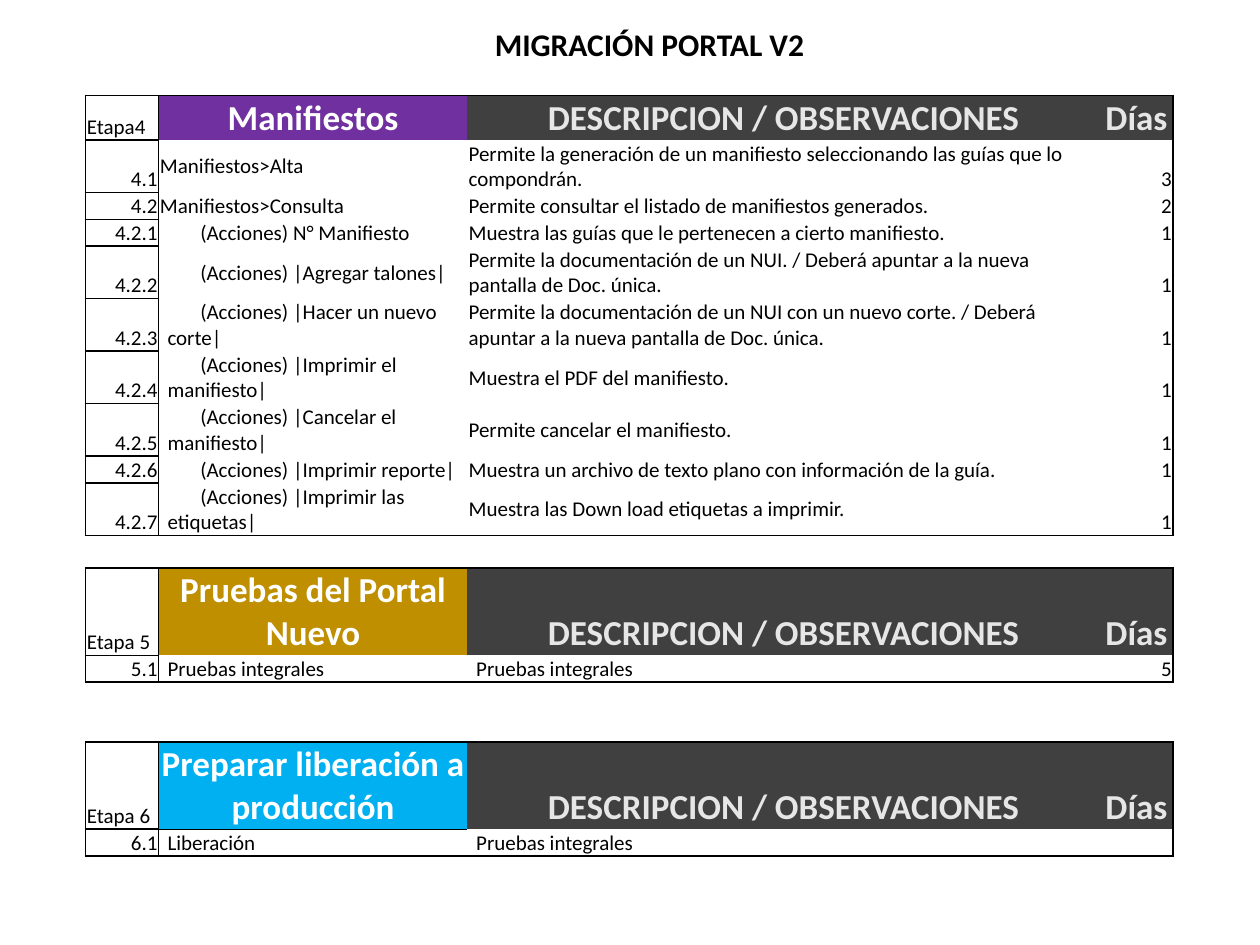
from dataclasses import dataclass

from lxml.etree import SubElement
from pptx import Presentation
from pptx.dml.color import RGBColor
from pptx.enum.text import MSO_ANCHOR, PP_ALIGN
from pptx.oxml.ns import qn
from pptx.util import Inches, Pt


@dataclass(frozen=True)
class Theme:
    font: str = "Calibri"
    title_size: int = 18
    head_size: int = 20
    body_size: int = 12
    ink: str = "000000"
    white: str = "FFFFFF"
    head_fill: str = "404040"
    head_text: str = "E7E6E6"


@dataclass(frozen=True)
class Task:
    number: str
    name: str
    note: str
    days: str
    lines: int = 1
    name_inset: float = 0.07
    note_inset: float = 0.01
    indent: float = 0


@dataclass(frozen=True)
class Stage:
    label: str
    name: str
    color: str
    top: float
    tasks: list[Task]
    head_lines: int = 2
    name_rule: float = 0


THEME = Theme()
LEFT = 0.68
COLS = (0.58, 2.45, 5.02, 0.58)
HEAD_LINE, BODY_LINE = 0.34, 0.2
BORDER = 1


def action(number: str, name: str, note: str, lines: int = 1) -> Task:
    return Task(number, f"(Acciones) {name}", note, "1", lines, indent=0.26)


STAGES = [
    Stage("Etapa4", "Manifiestos", "7030A0", 0.76, [
        Task("4.1", "Manifiestos>Alta",
             "Permite la generación de un manifiesto seleccionando las guías que lo compondrán.",
             "3", 2, name_inset=0.01),
        Task("4.2", "Manifiestos>Consulta",
             "Permite consultar el listado de manifiestos generados.", "2", name_inset=0.01),
        action("4.2.1", "N° Manifiesto",
               "Muestra las guías que le pertenecen a cierto manifiesto."),
        action("4.2.2", "|Agregar talones|",
               "Permite la documentación de un NUI. / Deberá apuntar a la nueva "
               "pantalla de Doc. única.", 2),
        action("4.2.3", "|Hacer un nuevo corte|",
               "Permite la documentación de un NUI con un nuevo corte. / Deberá "
               "apuntar a la nueva pantalla de Doc. única.", 2),
        action("4.2.4", "|Imprimir el manifiesto|", "Muestra el PDF del manifiesto.", 2),
        action("4.2.5", "|Cancelar el manifiesto|", "Permite cancelar el manifiesto.", 2),
        action("4.2.6", "|Imprimir reporte|",
               "Muestra un archivo de texto plano con información de la guía."),
        action("4.2.7", "|Imprimir las etiquetas|",
               "Muestra las Down load etiquetas a imprimir.", 2),
    ], head_lines=1),
    Stage("Etapa 5", "Pruebas del Portal Nuevo", "BF8F00", 4.51, [
        Task("5.1", "Pruebas integrales", "Pruebas integrales", "5", note_inset=0.07),
    ]),
    Stage("Etapa 6", "Preparar liberación a producción", "00B0F0", 5.89, [
        Task("6.1", "Liberación", "Pruebas integrales", "", note_inset=0.07),
    ], name_rule=0.5),
]


def add_run(p, text: str, size: int, color: str, bold: bool = False) -> None:
    r = p.add_run()
    r.text = text
    r.font.name = THEME.font
    r.font.size = Pt(size)
    r.font.bold = bold
    r.font.color.rgb = RGBColor.from_string(color)


def write_cell(cell, text: str, align=PP_ALIGN.LEFT, anchor=MSO_ANCHOR.BOTTOM,
               inset: float = 0.01, indent: float = 0, size: int = THEME.body_size,
               color: str = THEME.ink, bold: bool = False) -> None:
    cell.margin_left = Inches(inset)
    cell.margin_right = cell.margin_top = Inches(0.01)
    cell.margin_bottom = 0
    cell.vertical_anchor = anchor
    p = cell.text_frame.paragraphs[0]
    p.alignment = align
    if indent:
        pPr = p._p.get_or_add_pPr()
        pPr.set("marL", "0")
        pPr.set("indent", str(Inches(indent)))
    if text:
        add_run(p, text, size, color, bold)
    else:
        SubElement(p._p, qn("a:endParaRPr"), sz=str(size * 100))


def set_borders(cell, widths: dict[str, float]) -> None:
    """Draw the sides (L, R, T, B) that have a width and hide the others."""
    tcPr = cell._tc.get_or_add_tcPr()
    for side in "LRTB":
        width = widths.get(side, 0)
        ln = SubElement(tcPr, qn(f"a:ln{side}"), w=str(Pt(width)))
        if width:
            fill = SubElement(ln, qn("a:solidFill"))
            SubElement(fill, qn("a:srgbClr"), val=THEME.ink)
        else:
            SubElement(ln, qn("a:noFill"))


def frame_table(table, name_rule: float) -> None:
    """Box the number cells one by one and the rest of the table as a whole."""
    last_row, last_col = len(table.rows) - 1, len(COLS) - 1
    for i in range(last_row + 1):
        for j in range(last_col + 1):
            sides = {"L": j <= 1, "R": j in (0, last_col),
                     "T": j == 0 or i == 0, "B": j == 0 or i == last_row}
            widths = {side: BORDER for side, shown in sides.items() if shown}
            if j == 1 and name_rule and i < 2:
                widths["B" if i == 0 else "T"] = name_rule
            set_borders(table.cell(i, j), widths)


def fill_cells(table, stage: Stage) -> None:
    head_fills = (None, stage.color, THEME.head_fill, THEME.head_fill)
    for i, row in enumerate(table.rows):
        for cell, color in zip(row.cells, head_fills):
            if i == 0 and color:
                cell.fill.solid()
                cell.fill.fore_color.rgb = RGBColor.from_string(color)
            else:
                cell.fill.background()


def add_stage(slide, stage: Stage) -> None:
    heights = [HEAD_LINE * stage.head_lines] + [BODY_LINE * t.lines for t in stage.tasks]
    table = slide.shapes.add_table(
        len(heights), len(COLS), Inches(LEFT), Inches(stage.top),
        Inches(sum(COLS)), Inches(sum(heights))).table
    table.first_row = table.horz_banding = False
    for col, width in zip(table.columns, COLS):
        col.width = Inches(width)
    for row, height in zip(table.rows, heights):
        row.height = Inches(height)

    frame_table(table, stage.name_rule)
    fill_cells(table, stage)

    label, name, note, days = table.rows[0].cells
    head = dict(align=PP_ALIGN.CENTER, size=THEME.head_size, bold=True)
    write_cell(label, stage.label)
    write_cell(name, stage.name, anchor=MSO_ANCHOR.MIDDLE, color=THEME.white, **head)
    write_cell(note, "DESCRIPCION / OBSERVACIONES", color=THEME.head_text, **head)
    write_cell(days, "Días", color=THEME.head_text, **head)

    for i, task in enumerate(stage.tasks, start=1):
        number, name, note, days = table.rows[i].cells
        write_cell(number, task.number, PP_ALIGN.RIGHT)
        write_cell(name, task.name, anchor=MSO_ANCHOR.MIDDLE,
                   inset=task.name_inset, indent=task.indent)
        write_cell(note, task.note, anchor=MSO_ANCHOR.MIDDLE, inset=task.note_inset)
        write_cell(days, task.days, PP_ALIGN.RIGHT)


def add_title(slide, text: str) -> None:
    sp = slide.shapes.title
    sp.left, sp.top, sp.width, sp.height = map(Inches, (1.71, 0.15, 6.89, 0.4))
    tf = sp.text_frame
    tf.word_wrap = True
    tf.vertical_anchor = MSO_ANCHOR.TOP
    p = tf.paragraphs[0]
    p.alignment = PP_ALIGN.CENTER
    add_run(p, text, THEME.title_size, THEME.ink, bold=True)


def main() -> None:
    prs = Presentation()
    prs.slide_width, prs.slide_height = Inches(10), Inches(7.5)
    slide = prs.slides.add_slide(prs.slide_layouts[5])
    add_title(slide, "MIGRACIÓN PORTAL V2")
    for stage in STAGES:
        add_stage(slide, stage)
    prs.save("out.pptx")


if __name__ == "__main__":
    main()
